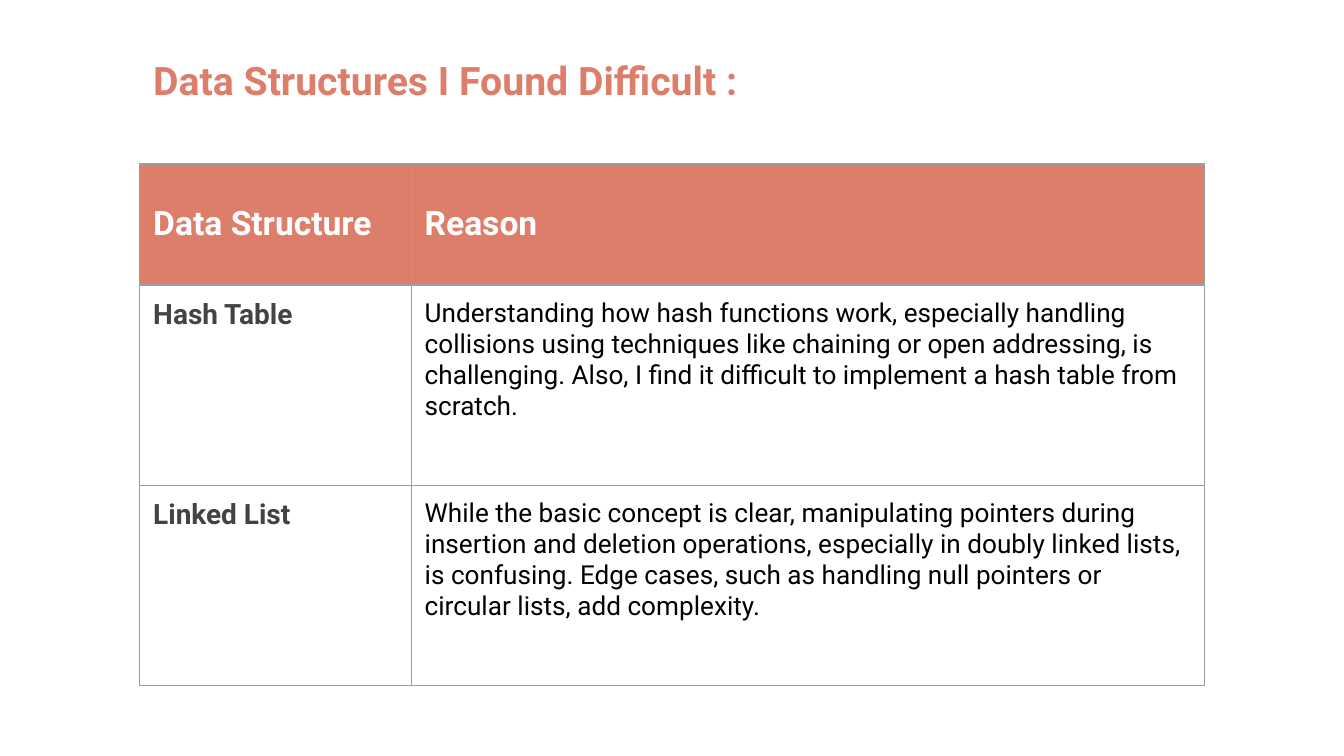
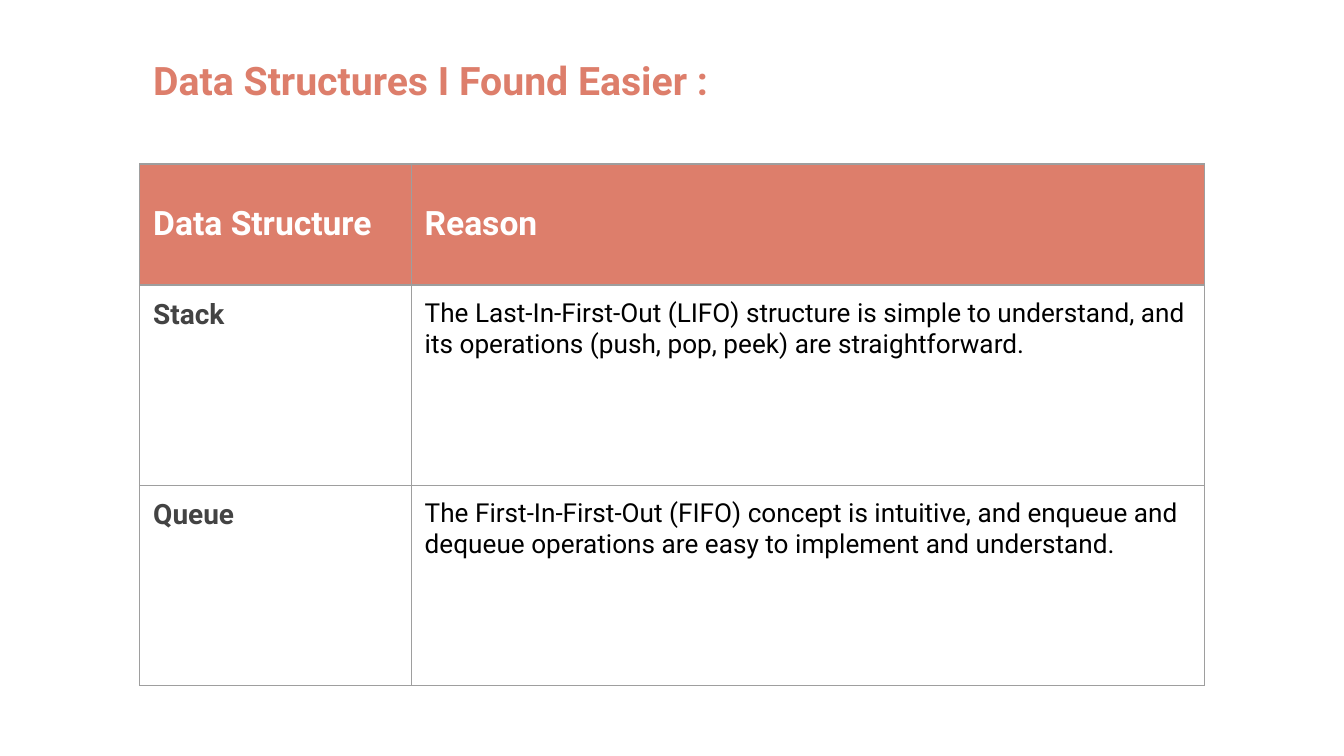
from dataclasses import dataclass

from lxml import etree
from pptx import Presentation
from pptx.dml.color import RGBColor
from pptx.enum.text import MSO_ANCHOR, MSO_AUTO_SIZE, PP_ALIGN
from pptx.oxml.ns import qn
from pptx.slide import Slide
from pptx.table import _Cell
from pptx.text.text import TextFrame
from pptx.util import Inches, Pt

TOP, MIDDLE = MSO_ANCHOR.TOP, MSO_ANCHOR.MIDDLE
LEFT = PP_ALIGN.LEFT
NO_AUTOFIT = MSO_AUTO_SIZE.NONE
TITLE_ONLY_LAYOUT = 5


@dataclass(frozen=True)
class TextStyle:
    size: float
    color: str
    bold: bool = True


@dataclass(frozen=True)
class Theme:
    font: str = "Roboto"
    header_fill: str = "DD7E6B"
    border: str = "9E9E9E"
    border_width: float = 0.75
    title: TextStyle = TextStyle(21, "DD7E6B")
    header: TextStyle = TextStyle(18, "FFFFFF")
    structure: TextStyle = TextStyle(15, "434343")
    reason: TextStyle = TextStyle(14, "000000", bold=False)


@dataclass(frozen=True)
class Entry:
    structure: str
    reason: str


@dataclass(frozen=True)
class ReasonSlide:
    title: str
    entries: tuple[Entry, ...]


THEME = Theme()
SLIDE_WIDTH = Inches(10)
SLIDE_HEIGHT = SLIDE_WIDTH * 9 // 16
MARGIN_LEFT = 1.04
TITLE_TOP, TITLE_HEIGHT = 0.32, 0.62
TABLE_TOP = 1.22
COLUMN_WIDTHS = (2.02, 5.9)
HEADER_HEIGHT, ENTRY_HEIGHT = 0.9, 1.49
INSET = Inches(0.1)
HEADERS = ("Data Structure", "Reason")

SLIDES = (
    ReasonSlide("Data Structures I Found Difficult :", (
        Entry("Hash Table",
              "Understanding how hash functions work, especially handling "
              "collisions using techniques like chaining or open addressing, "
              "is challenging. Also, I find it difficult to implement a hash "
              "table from scratch."),
        Entry("Linked List",
              "While the basic concept is clear, manipulating pointers during "
              "insertion and deletion operations, especially in doubly linked "
              "lists, is confusing. Edge cases, such as handling null pointers "
              "or circular lists, add complexity."),
    )),
    ReasonSlide("Data Structures I Found Easier :", (
        Entry("Stack",
              "The Last-In-First-Out (LIFO) structure is simple to understand, "
              "and its operations (push, pop, peek) are straightforward."),
        Entry("Queue",
              "The First-In-First-Out (FIFO) concept is intuitive, and enqueue "
              "and dequeue operations are easy to implement and understand."),
    )),
)


def write_text(frame: TextFrame, text: str, style: TextStyle) -> None:
    frame.text = text
    paragraph = frame.paragraphs[0]
    paragraph.alignment = LEFT
    font = paragraph.font
    font.name = THEME.font
    font.size = Pt(style.size)
    font.bold = style.bold
    font.color.rgb = RGBColor.from_string(style.color)


def set_insets(target: TextFrame | _Cell) -> None:
    target.margin_left = target.margin_right = INSET
    target.margin_top = target.margin_bottom = INSET


def add_borders(cell: _Cell) -> None:
    """Outline all four sides; the lines must precede the fill in tcPr."""
    properties = cell._tc.get_or_add_tcPr()
    for position, side in enumerate(("lnL", "lnR", "lnT", "lnB")):
        line = etree.Element(qn(f"a:{side}"), w=str(Pt(THEME.border_width)))
        fill = etree.SubElement(line, qn("a:solidFill"))
        etree.SubElement(fill, qn("a:srgbClr"), val=THEME.border)
        properties.insert(position, line)


def fill_cell(cell: _Cell, text: str, style: TextStyle, is_header: bool) -> None:
    write_text(cell.text_frame, text, style)
    set_insets(cell)
    cell.vertical_anchor = MIDDLE if is_header else TOP
    if is_header:
        cell.fill.solid()
        cell.fill.fore_color.rgb = RGBColor.from_string(THEME.header_fill)
    else:
        cell.fill.background()
    add_borders(cell)


def place_title(page: Slide, text: str) -> None:
    title = page.shapes.title
    title.left, title.top = Inches(MARGIN_LEFT), Inches(TITLE_TOP)
    title.width, title.height = Inches(sum(COLUMN_WIDTHS)), Inches(TITLE_HEIGHT)
    frame = title.text_frame
    write_text(frame, text, THEME.title)
    set_insets(frame)
    frame.word_wrap = True
    frame.auto_size = NO_AUTOFIT
    frame.vertical_anchor = TOP


def add_reason_table(page: Slide, entries: tuple[Entry, ...]) -> None:
    rows = [HEADERS] + [(entry.structure, entry.reason) for entry in entries]
    heights = [HEADER_HEIGHT] + [ENTRY_HEIGHT] * len(entries)
    table = page.shapes.add_table(
        len(rows), len(HEADERS), Inches(MARGIN_LEFT), Inches(TABLE_TOP),
        Inches(sum(COLUMN_WIDTHS)), Inches(sum(heights))).table
    table.horz_banding = False
    for column, width in zip(table.columns, COLUMN_WIDTHS):
        column.width = Inches(width)
    for row_index, (texts, height) in enumerate(zip(rows, heights)):
        table.rows[row_index].height = Inches(height)
        is_header = row_index == 0
        styles = ((THEME.header, THEME.header) if is_header
                  else (THEME.structure, THEME.reason))
        for column_index, (text, style) in enumerate(zip(texts, styles)):
            fill_cell(table.cell(row_index, column_index), text, style, is_header)


def main() -> None:
    deck = Presentation()
    deck.slide_width, deck.slide_height = SLIDE_WIDTH, SLIDE_HEIGHT
    for content in SLIDES:
        page = deck.slides.add_slide(deck.slide_layouts[TITLE_ONLY_LAYOUT])
        add_reason_table(page, content.entries)
        place_title(page, content.title)
    deck.save("out.pptx")


if __name__ == "__main__":
    main()
